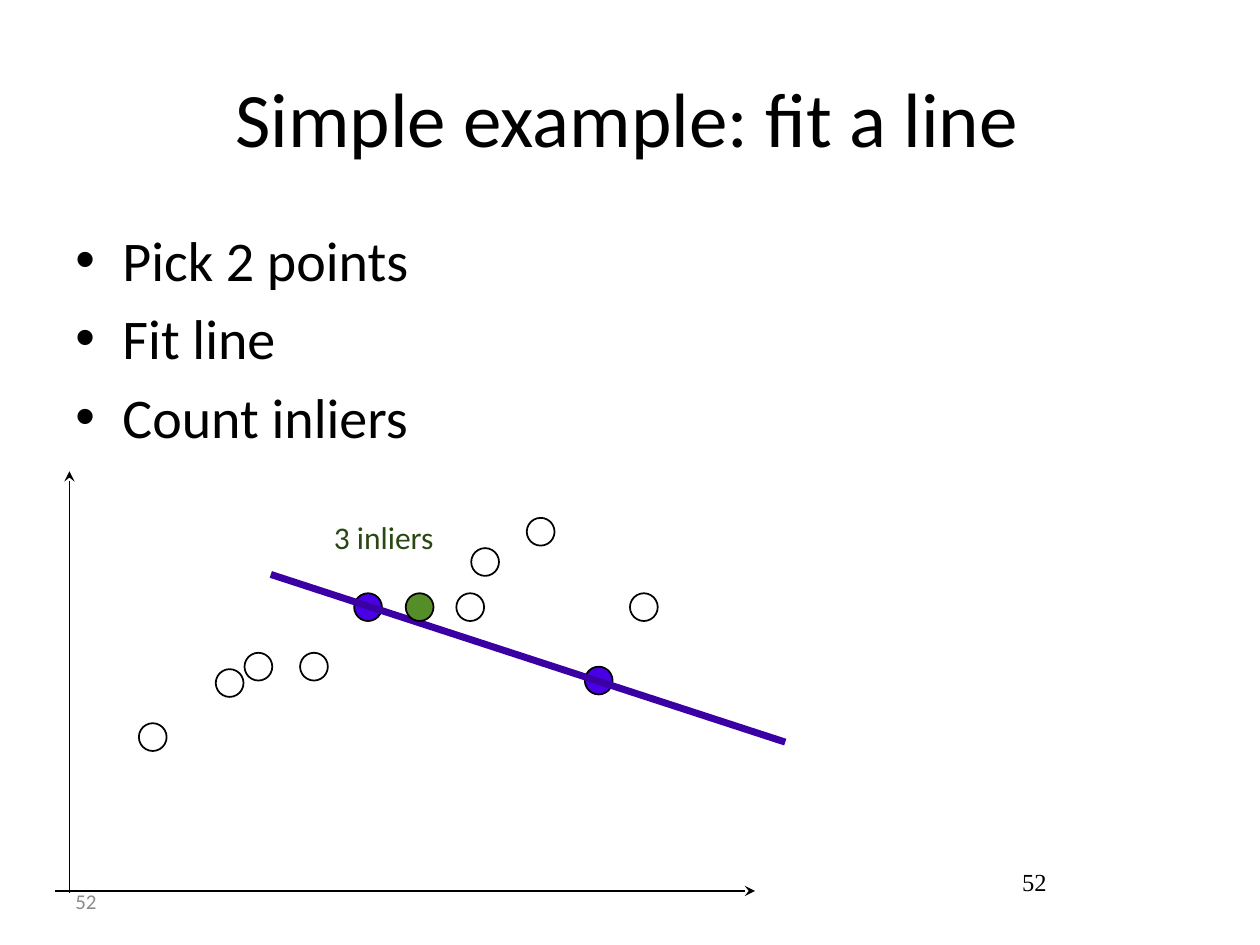
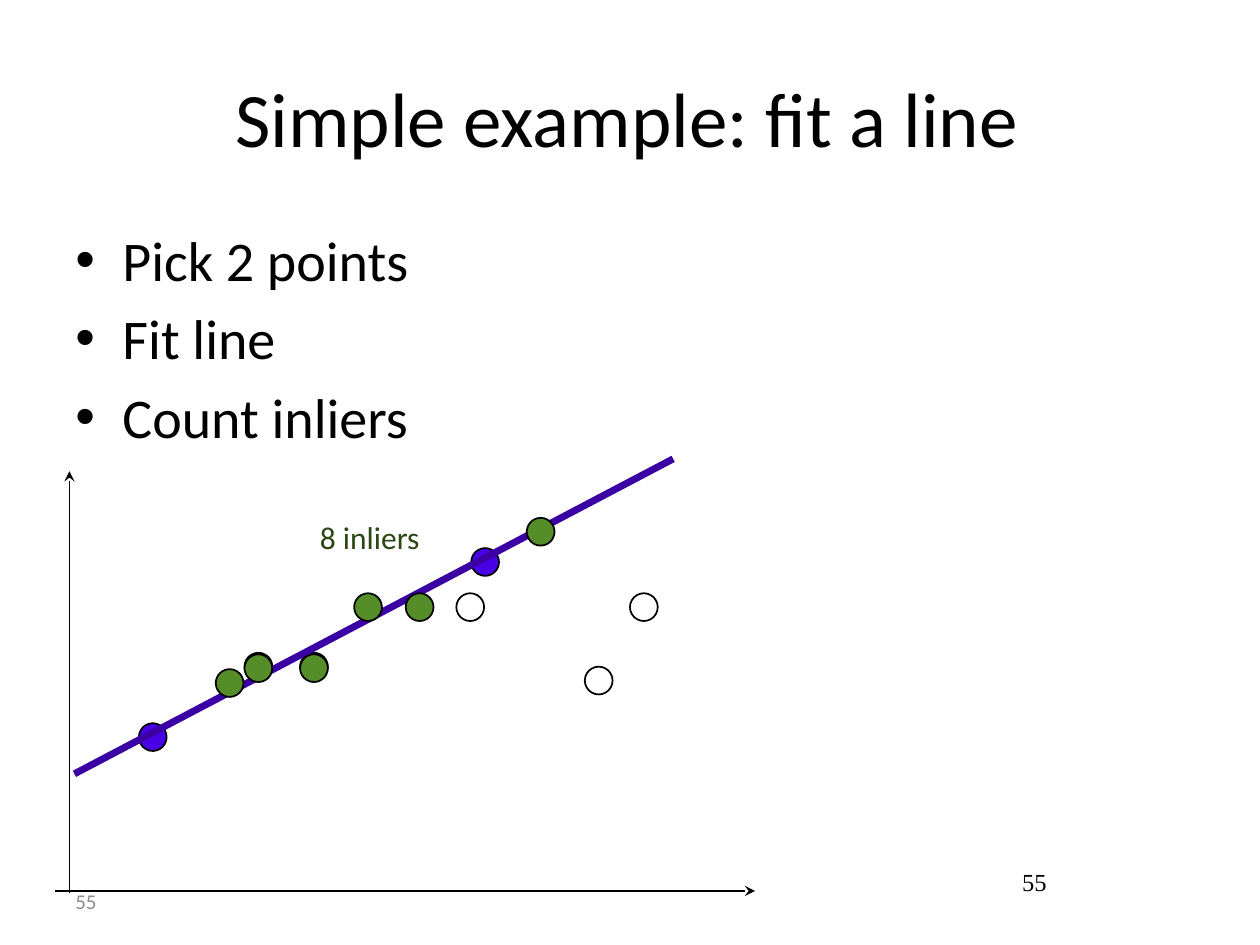
from lxml import etree
from pptx import Presentation
from pptx.dml.color import RGBColor
from pptx.enum.shapes import MSO_CONNECTOR, MSO_SHAPE
from pptx.enum.text import MSO_ANCHOR as ANCHOR, PP_ALIGN as ALIGN
from pptx.oxml.ns import qn
from pptx.util import Cm, Pt

BLACK = RGBColor(0x00, 0x00, 0x00)
WHITE = RGBColor(0xFF, 0xFF, 0xFF)
GRAY = RGBColor(0x8C, 0x8C, 0x8C)
PICKED = RGBColor(0x4A, 0x00, 0xE6)
INLIER = RGBColor(0x55, 0x8E, 0x28)
FITTED = RGBColor(0x3B, 0x00, 0xA4)
LABEL = RGBColor(0x2B, 0x47, 0x14)

TITLE = "Simple example: fit a line"
STEPS = ["Pick 2 points", "Fit line", "Count inliers"]

TITLE_BOX = (1.27, 0.76, 22.86, 3.18)
STEPS_BOX = (1.27, 4.41, 22.86, 12.57)
FOOTER_BOX = (1.27, 17.65, 5.92, 1.02)
NUMBER_BOX = (20.45, 17.35, 0.81, 0.81)
PLOT_BOX = (1.4, 9.5, 13.82, 8.46)

WIDE_INSETS = (0.25, 0.13, 0.36, 0.13)
DOT_SIZE = 0.56
OVERHANG = 0.3
DOTS = [
    (1.4, 5.08), (2.95, 3.99), (3.53, 3.66), (4.65, 3.66), (5.74, 2.46), (6.78, 2.46),
    (7.8, 2.46), (8.1, 1.55), (9.22, 0.94), (10.39, 3.94), (11.3, 2.46),
]

TRIALS = [
    {"number": "52", "picked": [4, 9], "inliers": [5], "covered": [],
     "line": (4.06, 2.08, 14.43, 5.46), "label": "3 inliers", "label_left": 5.33},
    {"number": "55", "picked": [0, 7], "inliers": [1, 2, 3, 4, 5, 8], "covered": [2, 3],
     "line": (0.1, 6.1, 12.17, -0.25), "label": "8 inliers", "label_left": 5.05},
]


def add_text(page, box, lines, size, color=BLACK, font="Calibri", align=ALIGN.LEFT,
             anchor=ANCHOR.TOP, insets=(0.25, 0.13, 0.25, 0.13)):
    """Add a text box with one paragraph per line and return its paragraphs."""
    frame = page.shapes.add_textbox(*map(Cm, box)).text_frame
    sides = ("margin_left", "margin_top", "margin_right", "margin_bottom")
    layout = dict(zip(sides, map(Cm, insets)), word_wrap=True, vertical_anchor=anchor)
    for name, value in layout.items():
        setattr(frame, name, value)
    frame.text = "\n".join(lines)
    for para in frame.paragraphs:
        para.alignment = align
        for span in para.runs:
            for name, value in {"size": Pt(size), "name": font}.items():
                setattr(span.font, name, value)
            span.font.color.rgb = color
    return frame.paragraphs


def add_line(page, start, end, color, width, arrow=False):
    """Add a straight line, with a stealth arrowhead at its start if wanted."""
    line = page.shapes.add_connector(MSO_CONNECTOR.STRAIGHT, *map(Cm, start + end))
    line.line.color.rgb = color
    line.line.width = Pt(width)
    if arrow:
        etree.SubElement(line.line._get_or_add_ln(), qn("a:headEnd"), type="stealth")
    etree.SubElement(line._element.spPr, qn("a:effectLst"))


def add_dot(page, left, top, color):
    """Add one data point."""
    dot = page.shapes.add_shape(MSO_SHAPE.OVAL, *map(Cm, (left, top, DOT_SIZE, DOT_SIZE)))
    dot.shadow.inherit = False
    dot.fill.solid()
    dot.fill.fore_color.rgb = color
    dot.line.color.rgb = BLACK
    dot.line.width = Pt(1)


def add_steps(page, box):
    """Add the bulleted list of steps."""
    for para in add_text(page, box, STEPS, 32, insets=WIDE_INSETS):
        para.space_before = Pt(6.4)
        props = para._p.get_or_add_pPr()
        props.set("marL", str(Cm(0.95)))
        props.set("indent", str(-Cm(0.95)))
        etree.SubElement(props, qn("a:buFont"), typeface="Arial")
        etree.SubElement(props, qn("a:buChar"), char="•")


def add_frame(page, number):
    """Add the title, the steps and both page numbers."""
    add_text(page, FOOTER_BOX, [number], 12, GRAY, anchor=ANCHOR.MIDDLE)
    add_text(page, TITLE_BOX, [TITLE], 44, align=ALIGN.CENTER, anchor=ANCHOR.MIDDLE,
             insets=WIDE_INSETS)
    add_steps(page, STEPS_BOX)
    add_text(page, NUMBER_BOX, [number], 14, font="Times New Roman", align=ALIGN.CENTER,
             insets=(0, 0.13, 0, 0.13))


def add_plot(page, box, trial):
    """Draw the axes, the data points, the fitted line and the inlier count."""
    left, top, width, height = box
    base = top + height
    add_line(page, (left, top), (left, base + 0.05), BLACK, 1, arrow=True)
    add_line(page, (left + width, base), (left - OVERHANG, base), BLACK, 1, arrow=True)

    for index, (x, y) in enumerate(DOTS):
        if index not in trial["inliers"] or index in trial["covered"]:
            color = PICKED if index in trial["picked"] else WHITE
            add_dot(page, left + x, top + y, color)

    x1, y1, x2, y2 = trial["line"]
    add_line(page, (left + x1, top + y1), (left + x2, top + y2), FITTED, 4)

    for index in trial["inliers"]:
        x, y = DOTS[index]
        nudge = 0.03 if index in trial["covered"] else 0
        add_dot(page, left + x, top + y + nudge, INLIER)

    label_box = (left + trial["label_left"], top + 0.94, 3.15, 1.02)
    add_text(page, label_box, [trial["label"]], 18, LABEL, insets=(0, 0, 0.1, 0))


def main():
    """Build one slide per trial and save the deck."""
    deck = Presentation()
    deck.slide_width, deck.slide_height = Cm(25.4), Cm(19.05)
    for trial in TRIALS:
        page = deck.slides.add_slide(deck.slide_layouts[6])
        add_frame(page, trial["number"])
        add_plot(page, PLOT_BOX, trial)
    deck.save("out.pptx")


if __name__ == "__main__":
    main()
